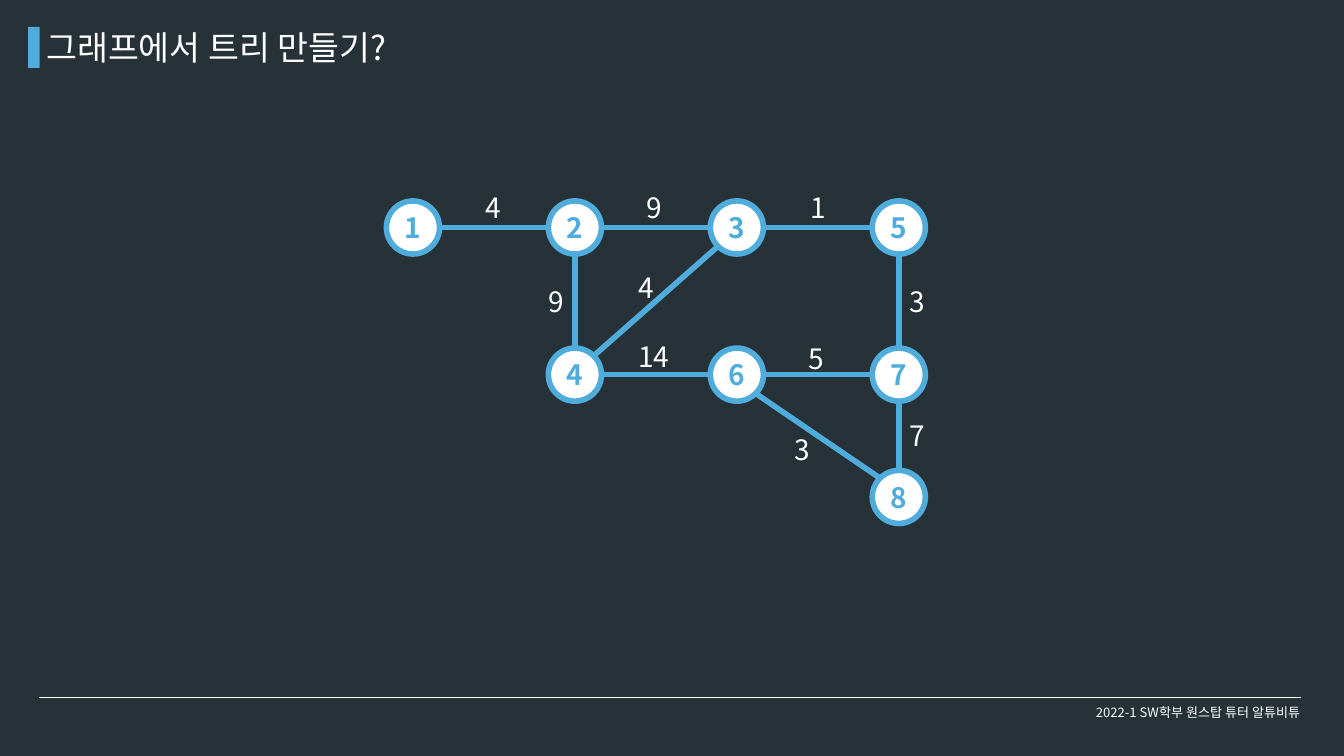
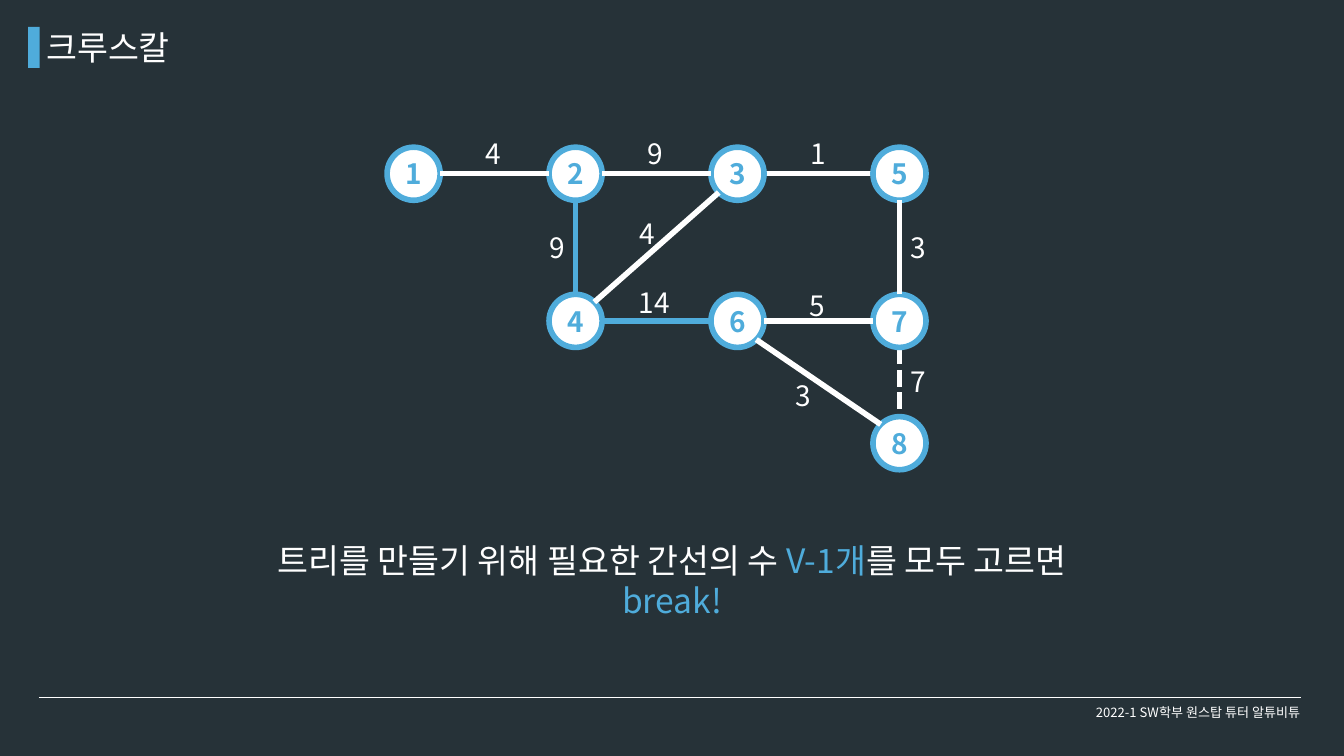
from dataclasses import dataclass
from math import hypot

from lxml import etree
from pptx import Presentation
from pptx.dml.color import RGBColor
from pptx.enum import dml, shapes, text
from pptx.oxml.ns import qn
from pptx.util import Inches, Pt


@dataclass(frozen=True)
class Theme:
    font: str = "Noto Sans CJK KR"
    background: RGBColor = RGBColor(0x26, 0x32, 0x38)
    accent: RGBColor = RGBColor(0x4F, 0xAC, 0xDB)
    white: RGBColor = RGBColor(0xFF, 0xFF, 0xFF)
    title_size: int = 36
    graph_size: int = 30
    footer_size: int = 14
    stroke: float = 6
    hairline: float = 0.75


THEME = Theme()
FOOTER = "2022-1 SW학부 원스탑 튜터 알튜비튜"

NODE_SIZE = 0.79
COLUMN_STEP = 2.41
ROWS = (0, 2.19, 4.01)
# node: (column, row)
NODES = {2: (1, 0), 3: (2, 0), 4: (1, 1), 1: (0, 0),
         5: (3, 0), 6: (2, 1), 7: (3, 1), 8: (3, 2)}
# edge: (weight, left and top of its label within the graph)
EDGES = {
    (1, 2): (4, 1.37, -0.21),
    (3, 2): (9, 3.78, -0.21),
    (2, 4): (9, 2.32, 1.19),
    (3, 4): (4, 3.66, 0.98),
    (5, 3): (1, 6.21, -0.21),
    (6, 4): (14, 3.65, 2.01),
    (7, 6): (5, 6.19, 2.05),
    (7, 5): (3, 7.69, 1.19),
    (7, 8): (7, 7.69, 3.19),
    (8, 6): (3, 5.98, 3.4),
}
EDGES_BEHIND_NODES = {(7, 8), (5, 3)}
TREE_EDGES = {(1, 2), (3, 2), (3, 4), (5, 3), (7, 6), (7, 5), (8, 6)}
NEXT_EDGE = (7, 8)


def style_span(span, size, color, bold=None):
    span.font.size = Pt(size)
    span.font.bold = bold
    span.font.color.rgb = color
    span.font.name = THEME.font
    etree.SubElement(span.font._element, qn("a:ea"), typeface=THEME.font)


def add_text(page, box, paragraphs, size, align=None, wrap=True, grow=True):
    """Add a text box; each paragraph is a list of (words, color) spans."""
    frame = page.shapes.add_textbox(*map(Inches, box)).text_frame
    frame.word_wrap = wrap
    if grow:
        frame.auto_size = text.MSO_AUTO_SIZE.SHAPE_TO_FIT_TEXT
    for index, spans in enumerate(paragraphs):
        para = frame.add_paragraph() if index else frame.paragraphs[0]
        para.alignment = align
        for words, color in spans:
            span = para.add_run()
            span.text = words
            style_span(span, size, color)
    return frame


def add_line(canvas, start, end, color, width, dash=None):
    line = canvas.add_connector(shapes.MSO_CONNECTOR.STRAIGHT,
                                *map(Inches, (*start, *end)))
    line.line.color.rgb = color
    line.line.width = Pt(width)
    if dash:
        line.line.dash_style = dash
    etree.SubElement(line._element.spPr, qn("a:effectLst"))


def add_filled(canvas, kind, box, color):
    shape = canvas.add_shape(kind, *map(Inches, box))
    shape.shadow.inherit = False
    shape.fill.solid()
    shape.fill.fore_color.rgb = color
    return shape


def add_page(deck, title):
    page = deck.slides.add_slide(deck.slide_layouts[6])
    add_line(page.shapes, (0.58, 10.38), (19.36, 10.38), THEME.white, THEME.hairline)
    marker = add_filled(page.shapes, shapes.MSO_SHAPE.RECTANGLE,
                        (0.42, 0.4, 0.17, 0.61), THEME.accent)
    marker.line.fill.background()
    footer = add_text(page, (15.83, 10.31, 4, 0.57), [[(FOOTER, THEME.white)]],
                      THEME.footer_size, text.PP_ALIGN.CENTER, grow=False)
    footer.vertical_anchor = text.MSO_ANCHOR.MIDDLE
    add_text(page, (0.59, 0.35, 9.5, 0.71), [[(title, THEME.white)]], THEME.title_size)
    return page


def node_corner(node, left, top):
    column, row = NODES[node]
    return left + column * COLUMN_STEP, top + ROWS[row]


def add_node(canvas, node, left, top):
    circle = add_filled(canvas, shapes.MSO_SHAPE.OVAL,
                        (*node_corner(node, left, top), NODE_SIZE, NODE_SIZE), THEME.white)
    circle.line.color.rgb = THEME.accent
    circle.line.width = Pt(THEME.stroke)
    frame = circle.text_frame
    frame.text = str(node)
    frame.vertical_anchor = text.MSO_ANCHOR.MIDDLE
    para = frame.paragraphs[0]
    para.alignment = text.PP_ALIGN.CENTER
    style_span(para.runs[0], THEME.graph_size, THEME.accent, bold=True)


def rim_point(node, other, left, top):
    """Return the point of the node's rim, in steps of 45 degrees, facing the other node."""
    across, down = ((there > here) - (there < here)
                    for here, there in zip(NODES[node], NODES[other]))
    radius = NODE_SIZE / 2
    reach = radius / hypot(across, down)
    x, y = node_corner(node, left, top)
    return x + radius + across * reach, y + radius + down * reach


def add_edge(canvas, edge, left, top, tree, dashed):
    start, end = edge
    color = THEME.white if edge in tree or edge == dashed else THEME.accent
    add_line(canvas, rim_point(start, end, left, top), rim_point(end, start, left, top),
             color, THEME.stroke, dml.MSO_LINE.SQUARE_DOT if edge == dashed else None)


def add_graph(page, left, top, tree=(), dashed=None, grouped=False):
    """Draw the weighted graph, with tree edges in white and one edge dashed."""
    canvas = page.shapes.add_group_shape().shapes if grouped else page.shapes
    for edge in EDGES_BEHIND_NODES:
        add_edge(canvas, edge, left, top, tree, dashed)
    for node in NODES:
        add_node(canvas, node, left, top)
    for edge in EDGES:
        if edge not in EDGES_BEHIND_NODES:
            add_edge(canvas, edge, left, top, tree, dashed)
    for weight, x, y in EDGES.values():
        width = 0.46 if weight < 10 else 0.71
        add_text(page, (left + x, top + y, width, 0.61), [[(str(weight), THEME.white)]],
                 THEME.graph_size, wrap=False)


def build_graph_page(deck):
    page = add_page(deck, "그래프에서 트리 만들기?")
    add_graph(page, 5.75, 2.99, grouped=True)


def build_kruskal_page(deck):
    page = add_page(deck, "크루스칼")
    add_graph(page, 5.76, 2.19, TREE_EDGES, NEXT_EDGE)
    add_text(page, (2, 7.98, 16, 1.31), [
        [("트리를 만들기 위해 필요한 간선의 수 ", THEME.white),
         ("V-1개", THEME.accent), ("를 모두 고르면", THEME.white)],
        [("break!", THEME.accent)],
    ], THEME.title_size, text.PP_ALIGN.CENTER)


def main():
    deck = Presentation()
    deck.slide_width, deck.slide_height = Inches(20), Inches(11.25)
    backdrop = deck.slide_master.background.fill
    backdrop.solid()
    backdrop.fore_color.rgb = THEME.background
    build_graph_page(deck)
    build_kruskal_page(deck)
    deck.save("out.pptx")


if __name__ == "__main__":
    main()
